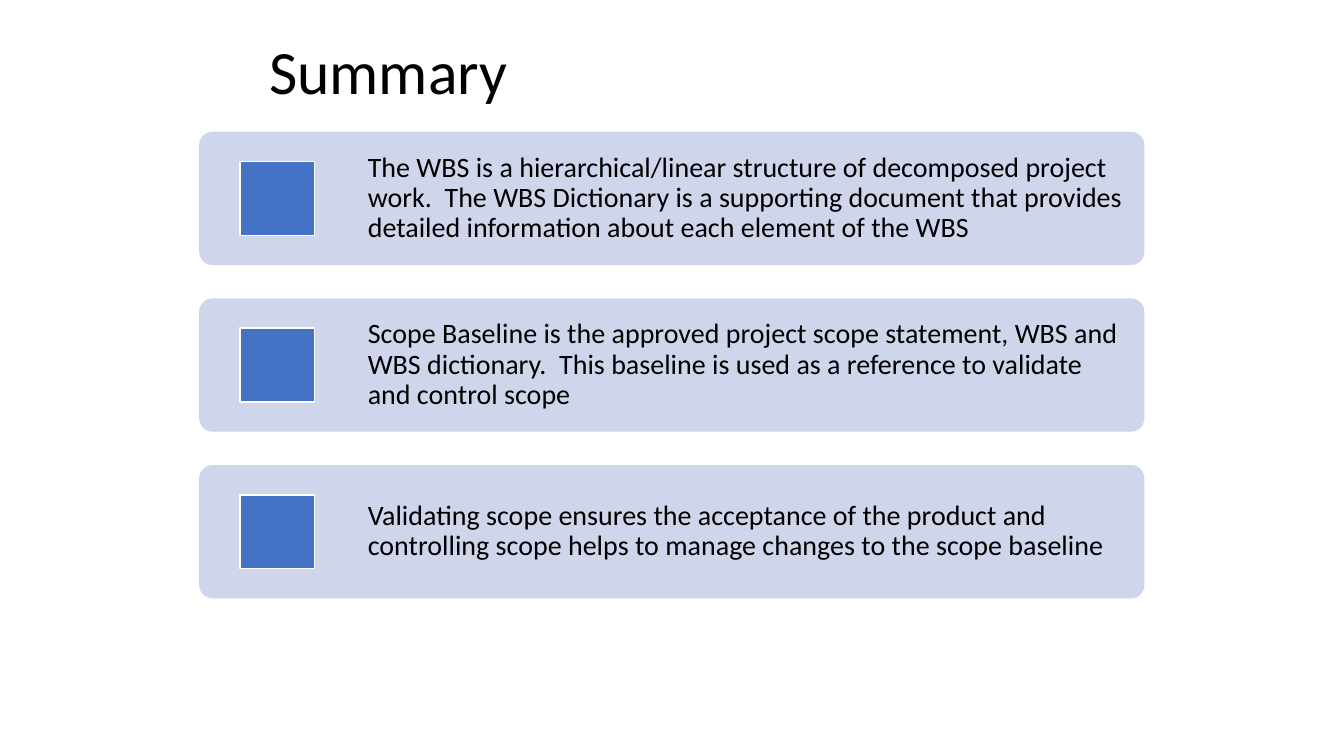
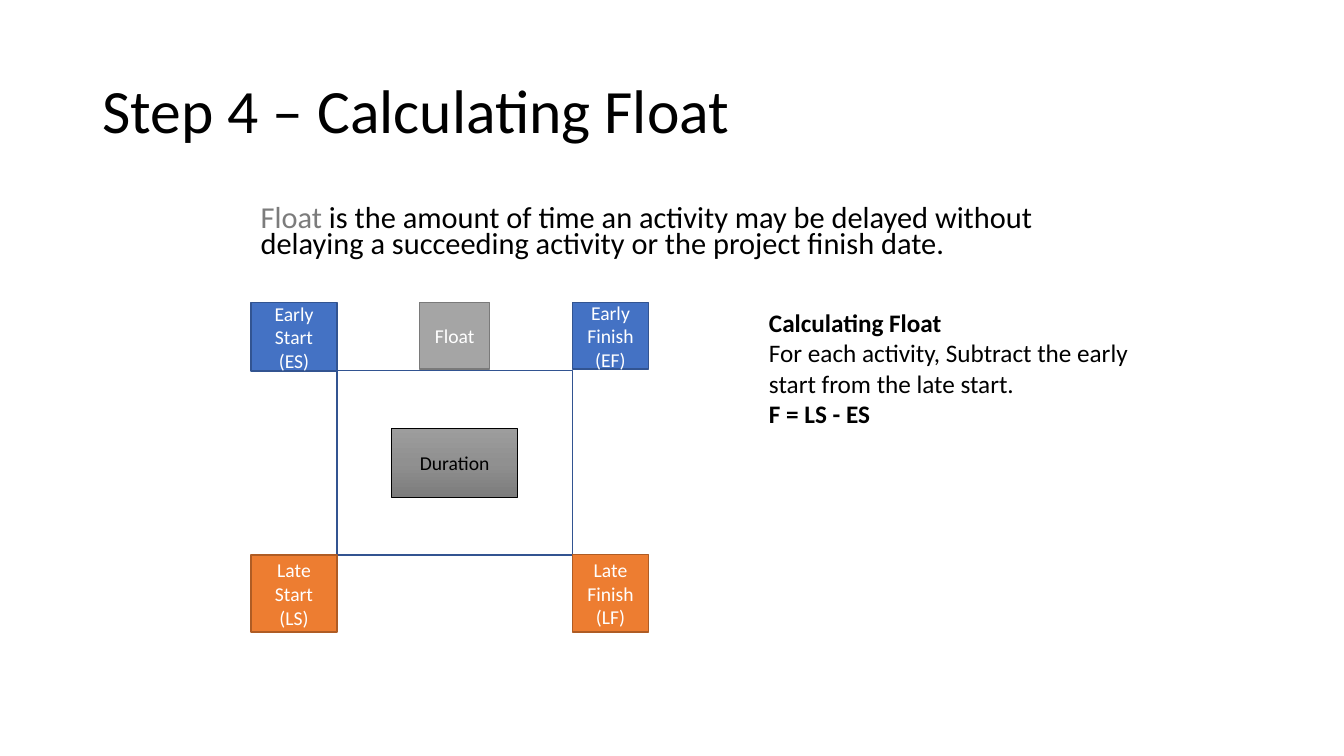
from copy import deepcopy
from dataclasses import dataclass

from pptx import Presentation
from pptx.dml.color import RGBColor
from pptx.enum.shapes import MSO_SHAPE
from pptx.enum.text import MSO_ANCHOR, MSO_AUTO_SIZE, PP_ALIGN
from pptx.oxml.ns import qn
from pptx.util import Cm, Pt

# Shared look
FONT = "Calibri"
BLACK, WHITE = "000000", "FFFFFF"
BLUE, DARK_BLUE, PALE_BLUE = "4472C4", "325491", "CFD5EA"
ORANGE, DARK_ORANGE = "ED7D31", "AF5C24"
GREY, DARK_GREY, FLOAT_GREY = "A5A5A5", "7A7A7A", "7C7C7C"
DURATION_GRADIENT = ("9D9D9D", "909090", "7C7C7C")


@dataclass(frozen=True)
class Area:
    """A rectangle in centimetres."""
    left: float
    top: float
    width: float
    height: float

    def lengths(self):
        return Cm(self.left), Cm(self.top), Cm(self.width), Cm(self.height)

    def centred(self, width, height):
        return Area(self.left + (self.width - width) / 2,
                    self.top + (self.height - height) / 2, width, height)


@dataclass(frozen=True)
class Span:
    text: str
    color: str = BLACK
    bold: bool = False


@dataclass(frozen=True)
class Node:
    label: str
    area: Area
    fill: str
    line: str
    color: str = WHITE
    line_width: float = 1


def rgb(value: str) -> RGBColor:
    return RGBColor.from_string(value)


def apply(target, values: dict) -> None:
    for name, value in values.items():
        setattr(target, name, value)


def write(frame, paragraphs, size, align=PP_ALIGN.LEFT, spacing=1.0, **frame_format) -> None:
    """Fill a text frame with paragraphs, each a list of spans."""
    apply(frame, {"word_wrap": True, "auto_size": MSO_AUTO_SIZE.NONE, **frame_format})
    for index, spans in enumerate(paragraphs):
        para = frame.add_paragraph() if index else frame.paragraphs[0]
        apply(para, {"alignment": align, "line_spacing": spacing})
        for span in spans:
            run = para.add_run()
            run.text = span.text
            apply(run.font, {"name": FONT, "size": Pt(size), "bold": span.bold})
            run.font.color.rgb = rgb(span.color)


def add_page(deck, title: str, area: Area):
    page = deck.slides.add_slide(deck.slide_layouts[5])
    heading = page.shapes.title
    apply(heading, dict(zip(("left", "top", "width", "height"), area.lengths())))
    write(heading.text_frame, [[Span(title)]], 44, spacing=0.9,
          vertical_anchor=MSO_ANCHOR.MIDDLE)
    return page


def add_box(page, area: Area, fill: str, line: str = "", line_width: float = 1,
            kind=MSO_SHAPE.RECTANGLE):
    box = page.shapes.add_shape(kind, *area.lengths())
    box.shadow.inherit = False
    box.fill.solid()
    box.fill.fore_color.rgb = rgb(fill)
    if line:
        box.line.color.rgb = rgb(line)
        box.line.width = Pt(line_width)
    else:
        box.line.fill.background()
    return box


def add_text(page, area: Area, paragraphs, size, **text_format):
    box = page.shapes.add_textbox(*area.lengths())
    write(box.text_frame, paragraphs, size, **text_format)
    return box


def add_node(page, node: Node):
    box = add_box(page, node.area, node.fill, node.line, node.line_width)
    write(box.text_frame, [[Span(node.label, node.color)]], 14,
          align=PP_ALIGN.CENTER, vertical_anchor=MSO_ANCHOR.MIDDLE)
    return box


def shade_down(box, colors) -> None:
    """Give a box a three-stop gradient from top to bottom."""
    box.fill.gradient()
    box.fill.gradient_angle = 270
    stop_list = box.fill.gradient_stops
    first = box._element.spPr.find(qn("a:gradFill")).find(qn("a:gsLst"))[0]
    first.addnext(deepcopy(first))
    stop_list = box.fill.gradient_stops
    for stop, color, position in zip(stop_list, colors, (0, 0.5, 1)):
        stop.color.rgb = rgb(color)
        stop.position = position


def build_summary(deck) -> None:
    page = add_page(deck, "Summary", Area(6.53, 0.79, 20.96, 2.16))
    points = (
        "The WBS is a hierarchical/linear structure of decomposed project work.  "
        "The WBS Dictionary is a supporting document that provides detailed "
        "information about each element of the WBS",
        "Scope Baseline is the approved project scope statement, WBS and WBS "
        "dictionary.  This baseline is used as a reference to validate and control scope",
        "Validating scope ensures the acceptance of the product and controlling "
        "scope helps to manage changes to the scope baseline",
    )
    inset = Cm(0.33)
    for index, point in enumerate(points):
        top, height = 3.32 + index * 4.2, 3.36
        card = add_box(page, Area(5.02, top, 23.82, height), PALE_BLUE,
                       kind=MSO_SHAPE.ROUNDED_RECTANGLE)
        card.adjustments[0] = 0.1
        add_box(page, Area(6.05, top + 0.75, 1.88, 1.86), BLUE, WHITE)
        add_text(page, Area(8.94, top, 19.9, height), [[Span(point)]], 20, spacing=0.9,
                 vertical_anchor=MSO_ANCHOR.MIDDLE, margin_left=inset,
                 margin_right=inset, margin_top=inset, margin_bottom=inset)


def build_float(deck) -> None:
    page = add_page(deck, "Step 4 – Calculating Float", Area(2.33, 1.01, 29.21, 3.68))

    # Definition
    definition = [Span("Float ", FLOAT_GREY),
                  Span("is the amount of time an activity may be delayed without "
                       "delaying a succeeding activity or the project finish date.")]
    add_text(page, Area(6.32, 5.13, 21.79, 2.26), [definition], 21.7, spacing=0.7)

    # Activity diagram: corner nodes touch the frame
    frame = Area(8.49, 9.34, 5.94, 4.65)
    left, right = 6.33, frame.left + frame.width
    top, bottom = 7.62, frame.top + frame.height
    add_box(page, frame, WHITE, DARK_BLUE)
    float_left = frame.centred(1.76, 1.68).left
    nodes = (
        Node("Early Start (ES)", Area(left, top, 2.16, 1.73), BLUE, DARK_BLUE),
        Node("Early Finish (EF)", Area(right, top, 1.91, 1.68), BLUE, DARK_BLUE),
        Node("Late Start (LS)", Area(left, bottom, 2.16, 1.94), ORANGE, DARK_ORANGE),
        Node("Late Finish (LF)", Area(right, bottom - 0.02, 1.91, 1.96), ORANGE, DARK_ORANGE),
        Node("Float", Area(float_left, top, 1.76, 1.68), GREY, DARK_GREY),
    )
    duration = Node("Duration", frame.centred(3.18, 1.73), GREY, BLACK, BLACK, 0.5)
    for node in nodes:
        add_node(page, node)
    shade_down(add_node(page, duration), DURATION_GRADIENT)

    # Formula
    formula = [
        [Span("Calculating Float", bold=True)],
        [Span("For each activity, Subtract the early start from the late start.")],
        [Span("F = LS - ES", bold=True)],
    ]
    add_text(page, Area(19.13, 7.62, 9.6, 4.88), formula, 18)


def main() -> None:
    deck = Presentation()
    apply(deck, {"slide_width": Cm(33.87), "slide_height": Cm(19.05)})
    build_summary(deck)
    build_float(deck)
    deck.save("out.pptx")


if __name__ == "__main__":
    main()
